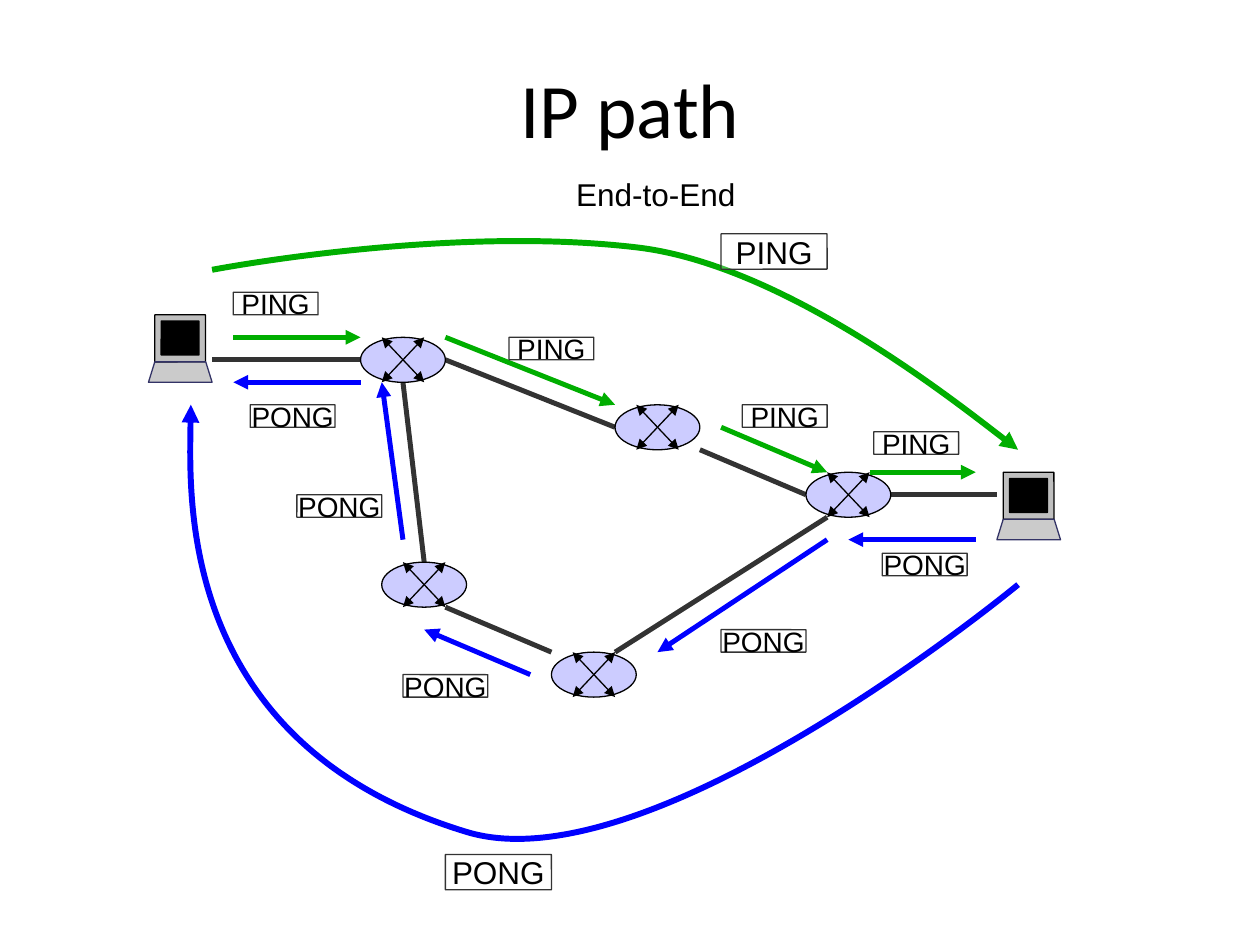
from dataclasses import dataclass
from typing import NamedTuple

from lxml.etree import SubElement
from pptx import Presentation
from pptx.dml.color import RGBColor
from pptx.enum.shapes import MSO_CONNECTOR, MSO_SHAPE
from pptx.enum.text import MSO_ANCHOR, PP_ALIGN
from pptx.oxml.ns import qn
from pptx.util import Pt


@dataclass(frozen=True)
class Theme:
    black: str = "000000"
    white: str = "FFFFFF"
    link: str = "333333"
    ping: str = "00AE00"
    pong: str = "0000FF"
    router: str = "CCCCFF"
    laptop_edge: str = "333366"
    title_font: str = "Calibri"
    body_font: str = "Arial"
    title_size: float = 44
    large_size: float = 18
    label_size: float = 16
    thin: float = 0.75
    medium: float = 2.83
    thick: float = 3.4
    opacity: int = 25


class Cell(NamedTuple):
    """A place on the drawing grid, in columns and rows."""
    column: float
    row: float

    def shifted(self, columns: float, rows: float) -> "Cell":
        return Cell(self.column + columns, self.row + rows)

    @property
    def points(self) -> tuple[float, float]:
        return self.column * COLUMN, self.row * ROW


class Segment(NamedTuple):
    start: Cell
    end: Cell


class Label(NamedTuple):
    text: str
    corner: Cell


THEME = Theme()
COLUMN, ROW = 12.12, 12.85

LAPTOPS = [Cell(7, 14), Cell(47, 21)]
ROUTERS = [Cell(17, 15), Cell(29, 18), Cell(38, 21), Cell(18, 25), Cell(26, 29)]
LINKS = [
    Segment(Cell(10, 16), Cell(17, 16)),
    Segment(Cell(21, 16), Cell(29, 19)),
    Segment(Cell(33, 20), Cell(38, 22)),
    Segment(Cell(42, 22), Cell(47, 22)),
    Segment(Cell(29, 29), Cell(39, 23)),
    Segment(Cell(21, 27), Cell(26, 29)),
    Segment(Cell(19, 17), Cell(20, 25)),
]
PING_HOPS = [
    Segment(Cell(11, 15), Cell(17, 15)),
    Segment(Cell(21, 15), Cell(29, 18)),
    Segment(Cell(34, 19), Cell(39, 21)),
    Segment(Cell(41, 21), Cell(46, 21)),
]
PONG_HOPS = [
    Segment(Cell(46, 24), Cell(40, 24)),
    Segment(Cell(39, 24), Cell(31, 29)),
    Segment(Cell(25, 30), Cell(20, 28)),
    Segment(Cell(19, 24), Cell(18, 17)),
    Segment(Cell(17, 17), Cell(11, 17)),
]
# Start cell, then two control cells and an end cell for each curve.
PING_PATH = [Cell(10, 12), Cell(10, 12), Cell(21, 10), Cell(30, 11),
             Cell(37, 11.76), Cell(48, 20), Cell(48, 20)]
PONG_PATH = [Cell(48, 26), Cell(48, 26), Cell(30.7, 39.5), Cell(22, 37),
             Cell(8, 33), Cell(9, 18), Cell(9, 18)]
HOP_LABELS = [
    Label("PING", Cell(11, 13)), Label("PING", Cell(24, 15)),
    Label("PING", Cell(35, 18)), Label("PING", Cell(41.2, 19.2)),
    Label("PONG", Cell(11.8, 18)), Label("PONG", Cell(14, 22)),
    Label("PONG", Cell(19, 30)), Label("PONG", Cell(34, 28)),
    Label("PONG", Cell(41.6, 24.6)),
]
PATH_LABELS = [Label("PING", Cell(34, 10.4)), Label("PONG", Cell(21, 38))]


def color(value: str) -> RGBColor:
    return RGBColor.from_string(value)


def paint(shape, fill: str, edge: str, opacity: int = 100) -> None:
    shape.shadow.inherit = False
    shape.fill.solid()
    shape.fill.fore_color.rgb = color(fill)
    if opacity < 100:
        fill_color = shape._element.spPr.find(qn("a:solidFill"))[0]
        SubElement(fill_color, qn("a:alpha"), val=str(opacity * 1000))
    shape.line.color.rgb = color(edge)
    shape.line.width = Pt(THEME.thin)


def style_line(shape, line_color: str, width: float, ends: tuple[str, ...]) -> None:
    """Colour a line; ends may name headEnd and tailEnd, in that order."""
    shape.line.color.rgb = color(line_color)
    shape.line.width = Pt(width)
    for end in ends:
        SubElement(shape.line._get_or_add_ln(), qn(f"a:{end}"), type="triangle")


def add_line(slide, segment: Segment, line_color: str, width: float,
             ends: tuple[str, ...] = ()) -> None:
    coordinates = [Pt(value) for cell in segment for value in cell.points]
    connector = slide.shapes.add_connector(MSO_CONNECTOR.STRAIGHT, *coordinates)
    style_line(connector, line_color, width, ends)
    SubElement(connector._element.spPr, qn("a:effectLst"))


def add_curve(slide, cells: list[Cell], line_color: str) -> None:
    """Build a polyline, then turn every three line steps into a Bézier step."""
    start, *others = [tuple(Pt(value) for value in cell.points) for cell in cells]
    builder = slide.shapes.build_freeform(*start)
    builder.add_line_segments(others, close=False)
    curve = builder.convert_to_shape()
    curve.shadow.inherit = False
    curve.fill.background()
    style_line(curve, line_color, THEME.thick, ("tailEnd",))
    steps = list(curve._element.iter(qn("a:lnTo")))
    outline = steps[0].getparent()
    for first in range(0, len(steps), 3):
        bezier = SubElement(outline, qn("a:cubicBezTo"))
        for step in steps[first:first + 3]:
            bezier.append(step[0])
            outline.remove(step)


def add_panel(slide, left: float, top: float, width: float, height: float):
    panel = slide.shapes.add_shape(MSO_SHAPE.ROUNDED_RECTANGLE,
                                   Pt(left), Pt(top), Pt(width), Pt(height))
    panel.adjustments[0] = 0.01
    return panel


def add_laptop(slide, corner: Cell) -> None:
    left, top = corner.points
    case = add_panel(slide, left + 3.6, top, 29, 26.9)
    paint(case, THEME.black, THEME.black, THEME.opacity)
    paint(add_panel(slide, left + 7.3, top + 3.6, 21.6, 19.4), THEME.black, THEME.black)
    bottom, right = top + 3 * ROW, left + 3 * COLUMN
    builder = slide.shapes.build_freeform(Pt(left), Pt(bottom))
    builder.add_line_segments([(Pt(left + 3.6), Pt(top + 26.9)),
                               (Pt(right - 3.6), Pt(top + 26.9)),
                               (Pt(right), Pt(bottom))])
    paint(builder.convert_to_shape(), THEME.link, THEME.laptop_edge, THEME.opacity)


def add_router(slide, corner: Cell) -> None:
    left, top = corner.points
    body = slide.shapes.add_shape(MSO_SHAPE.OVAL, Pt(left), Pt(top),
                                  Pt(4 * COLUMN), Pt(2 * ROW))
    paint(body, THEME.router, THEME.black)
    for start_row, end_row in ((0, 2), (2, 0)):
        arrow = Segment(corner.shifted(1, start_row), corner.shifted(3, end_row))
        add_line(slide, arrow, THEME.black, THEME.thin, ("headEnd", "tailEnd"))


def write(text_frame, text: str, font_name: str, size: float, alignment: PP_ALIGN,
          margin: float = 0) -> None:
    text_frame.text = text
    text_frame.margin_left = text_frame.margin_right = Pt(margin)
    text_frame.margin_top = text_frame.margin_bottom = Pt(margin)
    paragraph = text_frame.paragraphs[0]
    paragraph.alignment = alignment
    font = paragraph.runs[0].font
    font.name, font.size = font_name, Pt(size)
    font.color.rgb = color(THEME.black)


def add_label(slide, label: Label, columns: float, rows: float, size: float) -> None:
    box = add_panel(slide, *label.corner.points, columns * COLUMN, rows * ROW)
    paint(box, THEME.white, THEME.link, THEME.opacity)
    write(box.text_frame, label.text, THEME.body_font, size, PP_ALIGN.CENTER)
    box.text_frame.word_wrap = False
    box.text_frame.vertical_anchor = MSO_ANCHOR.MIDDLE


def main() -> None:
    presentation = Presentation()
    presentation.slide_width, presentation.slide_height = Pt(720), Pt(540)
    slide = presentation.slides.add_slide(presentation.slide_layouts[5])

    title = slide.shapes.title
    title.left, title.top, title.width, title.height = Pt(24.5), Pt(21), Pt(671), Pt(81.4)
    write(title.text_frame, "IP path", THEME.title_font, THEME.title_size, PP_ALIGN.CENTER)
    title.text_frame.vertical_anchor = MSO_ANCHOR.MIDDLE
    caption = slide.shapes.add_textbox(Pt(327), Pt(98), Pt(109), Pt(29.5))
    write(caption.text_frame, "End-to-End", THEME.body_font, THEME.large_size,
          PP_ALIGN.LEFT, margin=2.2)
    caption.text_frame.word_wrap = True

    for corner in LAPTOPS:
        add_laptop(slide, corner)
    for link in LINKS:
        add_line(slide, link, THEME.link, THEME.medium)
    for corner in ROUTERS:
        add_router(slide, corner)
    for hops, path, line_color in ((PING_HOPS, PING_PATH, THEME.ping),
                                   (PONG_HOPS, PONG_PATH, THEME.pong)):
        for hop in hops:
            add_line(slide, hop, line_color, THEME.medium, ("tailEnd",))
        add_curve(slide, path, line_color)
    for label in HOP_LABELS:
        add_label(slide, label, 4, 1, THEME.label_size)
    for label in PATH_LABELS:
        add_label(slide, label, 5, 1.57, THEME.large_size)

    presentation.save("out.pptx")


if __name__ == "__main__":
    main()
